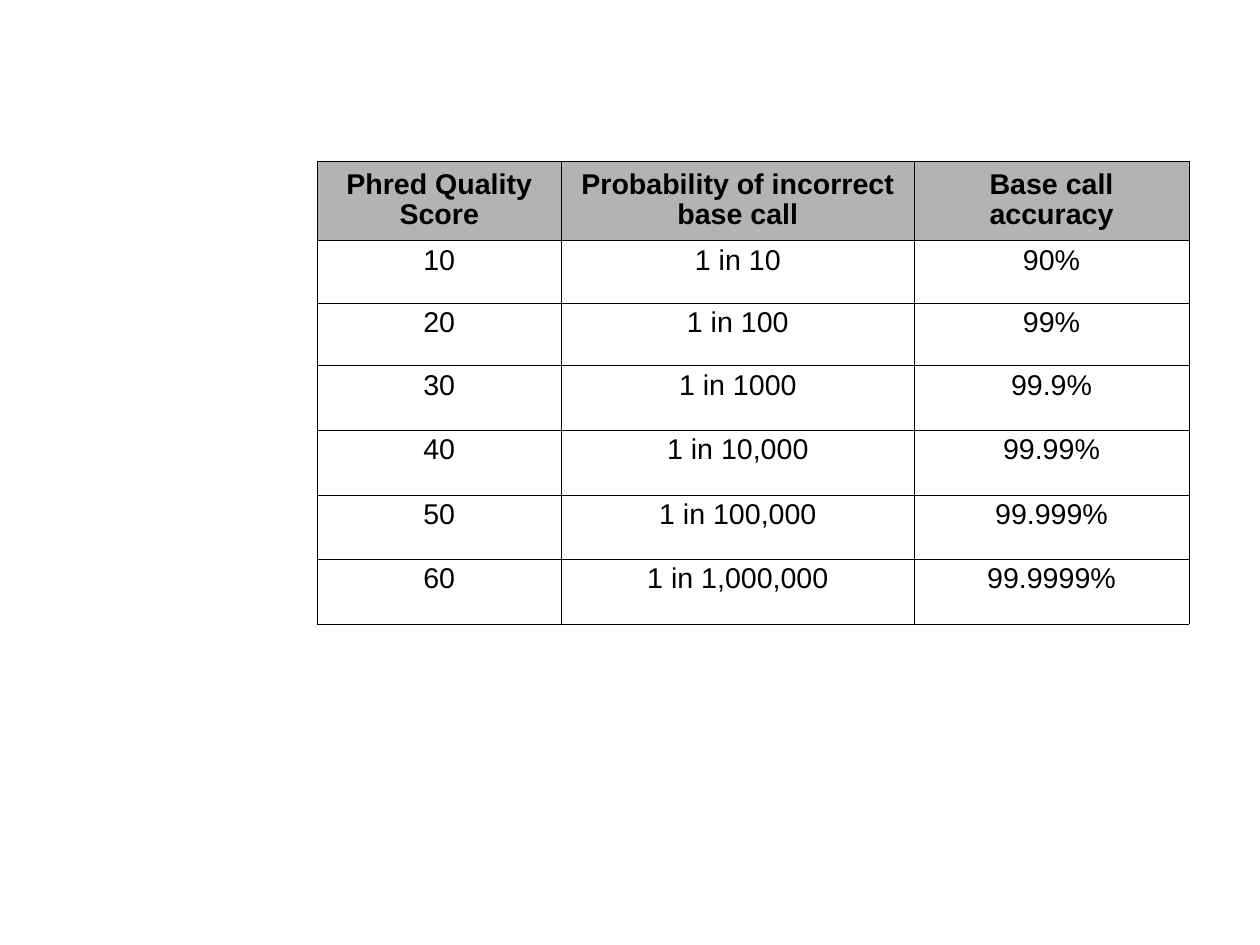
from lxml.etree import SubElement
from pptx import Presentation
from pptx.dml.color import RGBColor
from pptx.enum.text import MSO_ANCHOR, PP_ALIGN
from pptx.oxml.ns import qn
from pptx.util import Cm, Inches, Pt

COLORS = {"ink": "000000", "header": "B3B3B3", "body": "FFFFFF"}

SLIDE_WIDTH, SLIDE_HEIGHT = Cm(28), Cm(21)

# Grid: square modules, a tenth of an inch each
MODULE = 0.1

# Table content and proportions, in grid modules
HEADINGS = ["Phred Quality Score", "Probability of incorrect base call", "Base call accuracy"]
SCORES = [
    ("10", "1 in 10", "90%"),
    ("20", "1 in 100", "99%"),
    ("30", "1 in 1000", "99.9%"),
    ("40", "1 in 10,000", "99.99%"),
    ("50", "1 in 100,000", "99.999%"),
    ("60", "1 in 1,000,000", "99.9999%"),
]
TABLE_LEFT, TABLE_TOP = 27.76, 14.1
COLUMN_WIDTHS = [21.34, 30.9, 24]
ROW_HEIGHTS = [6.95] + [5.47] * 2 + [5.65] * 4

# Border widths in points
HAIRLINE, RULE = 0.06, 0.28


def grid(modules):
    return Inches(modules * MODULE)


class SlideBuilder:
    """Holds the text style and the current slide."""

    font = {"name": "Arial", "size": Pt(18)}
    paragraph = {"alignment": PP_ALIGN.CENTER, "line_spacing": 0.93}
    margins = {
        "margin_left": Inches(0.1),
        "margin_right": Inches(0.1),
        "margin_top": Inches(0.05),
        "margin_bottom": Inches(0.05),
    }

    def __init__(self, deck):
        self.page = deck.slides.add_slide(deck.slide_layouts[6])

    def apply(self, target, values):
        for name, value in values.items():
            setattr(target, name, value)

    def border(self, cell, bottom):
        properties = cell._tc.get_or_add_tcPr()
        widths = {"a:lnL": HAIRLINE, "a:lnR": HAIRLINE, "a:lnT": RULE, "a:lnB": bottom}
        for tag, width in widths.items():
            line = SubElement(properties, qn(tag), w=str(int(Pt(width))))
            fill = SubElement(line, qn("a:solidFill"))
            SubElement(fill, qn("a:srgbClr"), val=COLORS["ink"])

    def cell(self, cell, text, header, last):
        self.apply(cell, self.margins)
        cell.vertical_anchor = MSO_ANCHOR.MIDDLE if header else MSO_ANCHOR.TOP
        # Borders come before the fill in the cell properties
        self.border(cell, HAIRLINE if last else RULE)
        cell.fill.solid()
        cell.fill.fore_color.rgb = RGBColor.from_string(COLORS["header" if header else "body"])
        para = cell.text_frame.paragraphs[0]
        self.apply(para, self.paragraph)
        span = para.add_run()
        span.text = text
        self.apply(span.font, {**self.font, "bold": header})
        span.font.color.rgb = RGBColor.from_string(COLORS["ink"])

    def table(self, left, top, widths, heights, rows):
        frame = self.page.shapes.add_table(
            len(rows), len(widths), grid(left), grid(top), grid(sum(widths)), grid(sum(heights))
        )
        table = frame.table
        self.apply(table, {"first_row": False, "horz_banding": False})
        for column, width in zip(table.columns, widths):
            column.width = grid(width)
        for row, height in zip(table.rows, heights):
            row.height = grid(height)
        for index, texts in enumerate(rows):
            for position, text in enumerate(texts):
                self.cell(table.cell(index, position), text, index == 0, index == len(rows) - 1)


def main():
    deck = Presentation()
    deck.slide_width = SLIDE_WIDTH
    deck.slide_height = SLIDE_HEIGHT

    # Quality score table
    builder = SlideBuilder(deck)
    builder.table(TABLE_LEFT, TABLE_TOP, COLUMN_WIDTHS, ROW_HEIGHTS, [HEADINGS] + SCORES)

    deck.save("out.pptx")


if __name__ == "__main__":
    main()
